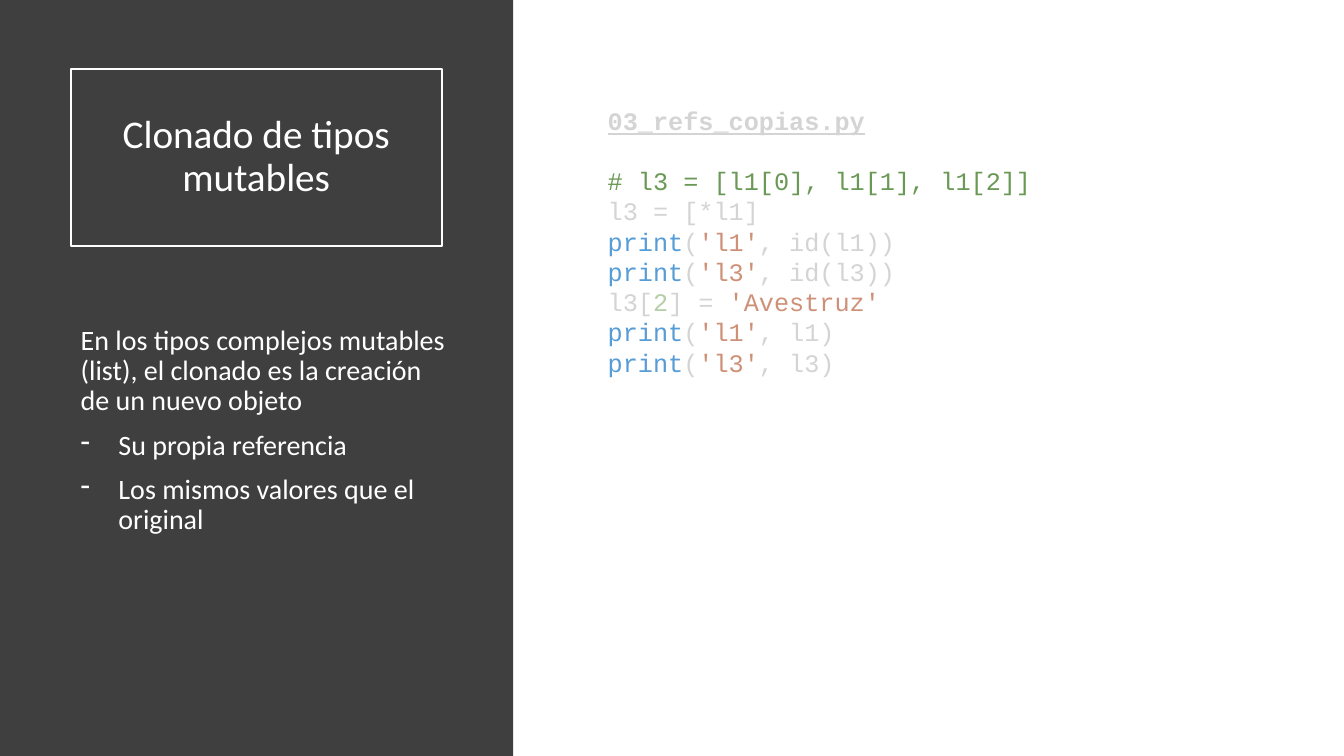
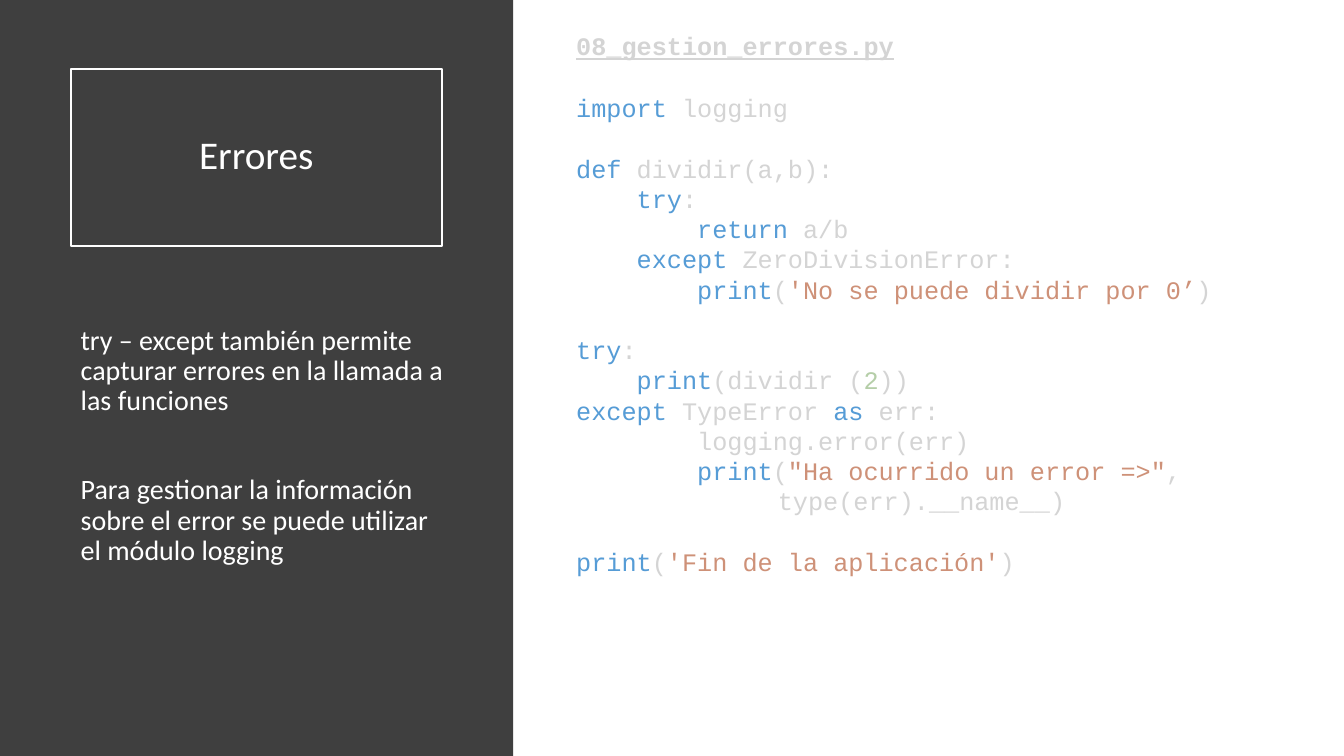
from dataclasses import dataclass
from functools import partial
from typing import NamedTuple

from lxml.etree import SubElement
from pptx import Presentation
from pptx.dml.color import RGBColor
from pptx.enum.shapes import MSO_SHAPE
from pptx.enum.text import MSO_ANCHOR, MSO_AUTO_SIZE, PP_ALIGN
from pptx.oxml.ns import qn
from pptx.util import Pt

WHITE = "FFFFFF"
PANEL = "3F3F3F"
PLAIN = "D4D4D4"
BLUE = "569CD6"
ORANGE = "CE9178"
GREEN = "6A9955"
LIME = "B5CEA8"

TITLE = {"name": "Calibri", "size": Pt(28)}
BODY = {"name": "Calibri", "size": Pt(20)}
CODE = {"name": "Courier New", "size": Pt(18)}
HEAD = {**CODE, "bold": True, "underline": True}

DENSE = 0.9
HANG = 27
SKIP = 21.6  # height of one line of code


class Box(NamedTuple):
    left: float
    top: float
    width: float
    height: float


class Run(NamedTuple):
    text: str
    color: str = PLAIN


@dataclass
class Line:
    runs: list[Run]
    style: dict
    gap: float = 0
    indent: float = 0
    dash: bool = False
    dense: bool = False


@dataclass
class Page:
    title: str
    body: list[Line]
    code: list[tuple[Box, list[Line]]]


SIDE = Box(0, 0, 366.5, 540)
FRAME = Box(50.5, 49, 265, 126.5)
NOTES = Box(50.5, 229.5, 276, 219.5)

key = partial(Run, color=BLUE)
quote = partial(Run, color=ORANGE)
num = partial(Run, color=LIME)


def code(*runs: Run, gap: float = 0, indent: float = 0) -> Line:
    return Line(list(runs), CODE, gap, indent)


def head(name: str) -> Line:
    return Line([Run(name)], HEAD)


def note(text: str, gap: float = 10, dash: bool = False) -> Line:
    indent = HANG if dash else 0
    return Line([Run(text, WHITE)], BODY, gap, indent, dash, True)


def show(name: str, rest: str) -> Line:
    """Code line that prints a quoted name and a value."""
    return code(key("print"), Run("("), quote(f"'{name}'"), Run(f", {rest})"))


def rgb(color: str) -> RGBColor:
    return RGBColor.from_string(color)


def place(box: Box) -> list[Pt]:
    return [Pt(side) for side in box]


def write(frame, lines: list[Line]) -> None:
    frame.word_wrap = True
    for i, line in enumerate(lines):
        para = frame.paragraphs[0] if i == 0 else frame.add_paragraph()
        if line.gap:
            para.space_before = Pt(line.gap)
        if line.dense:
            para.line_spacing = DENSE
        if line.indent:
            props = para._p.get_or_add_pPr()
            props.set("marL", str(Pt(line.indent)))
            if line.dash:
                props.set("indent", str(-Pt(line.indent)))
                SubElement(props, qn("a:buChar")).set("char", "-")
        for part in line.runs:
            run = para.add_run()
            run.text = part.text
            for name, value in line.style.items():
                setattr(run.font, name, value)
            run.font.color.rgb = rgb(part.color)


def add_rect(slide, box: Box):
    shape = slide.shapes.add_shape(MSO_SHAPE.RECTANGLE, *place(box))
    shape.shadow.inherit = False
    return shape


def add_side(slide) -> None:
    side = add_rect(slide, SIDE)
    side.fill.solid()
    side.fill.fore_color.rgb = rgb(PANEL)
    side.line.fill.background()


def add_title(slide, text: str) -> None:
    shape = add_rect(slide, FRAME)
    shape.fill.background()
    shape.line.color.rgb = rgb(WHITE)
    shape.line.width = Pt(1.5)
    frame = shape.text_frame
    frame.vertical_anchor = MSO_ANCHOR.MIDDLE
    write(frame, [Line([Run(text, WHITE)], TITLE, dense=True)])
    frame.paragraphs[0].alignment = PP_ALIGN.CENTER


def add_text(slide, box: Box, lines: list[Line], grow: bool = False) -> None:
    frame = slide.shapes.add_textbox(*place(box)).text_frame
    if grow:
        frame.auto_size = MSO_AUTO_SIZE.SHAPE_TO_FIT_TEXT
    write(frame, lines)


def add_page(deck, page: Page) -> None:
    slide = deck.slides.add_slide(deck.slide_layouts[6])
    add_side(slide)
    add_title(slide, page.title)
    add_text(slide, NOTES, page.body)
    for box, lines in page.code:
        add_text(slide, box, lines, grow=True)


CLONE = Page(
    "Clonado de tipos mutables",
    [
        note("En los tipos complejos mutables (list), el clonado es la "
             "creación de un nuevo objeto", gap=0),
        note("Su propia referencia", dash=True),
        note("Los mismos valores que el original", dash=True),
    ],
    [(Box(427, 71.5, 366.5, 225.5), [
        head("03_refs_copias.py"),
        code(Run("# l3 = [l1[0], l1[1], l1[2]]", GREEN), gap=SKIP),
        code(Run("l3 = [*l1]")),
        show("l1", "id(l1)"),
        show("l3", "id(l3)"),
        code(Run("l3["), num("2"), Run("] = "), quote("'Avestruz'")),
        show("l1", "l1"),
        show("l3", "l3"),
    ])],
)

ERRORS = Page(
    "Errores",
    [
        note("try – except también permite capturar errores en la llamada "
             "a las funciones", gap=0),
        note("Para gestionar la información sobre el error se puede "
             "utilizar el módulo logging", gap=42),
    ],
    [
        (Box(404.5, 18, 511, 51), [head("08_gestion_errores.py")]),
        (Box(404.5, 62.5, 486.5, 356.5), [
            code(key("import "), Run("logging")),
            code(key("def"), Run(" dividir(a,b):"), gap=SKIP),
            code(key("    try"), Run(":")),
            code(key("        return"), Run(" a/b")),
            code(key("    except "), Run("ZeroDivisionError:")),
            code(key("        print"), Run("("),
                 quote("'No se puede dividir por 0’"), Run(")")),
            code(key("try"), Run(":"), gap=SKIP),
            code(key("    print"), Run("(dividir ("), num("2"), Run("))")),
            code(key("except "), Run("TypeError "), key("as "), Run("err:")),
            code(Run("        logging.error(err)")),
            code(key("        print"), Run("("),
                 quote('"Ha ocurrido un error =>"'), Run(",")),
            code(Run("type(err).__name__)"), indent=144),
            code(key("print"), Run("("), quote("'Fin de la aplicación'"),
                 Run(")"), gap=SKIP),
        ]),
    ],
)


def main() -> None:
    deck = Presentation()
    deck.slide_width, deck.slide_height = Pt(960), Pt(540)
    for page in (CLONE, ERRORS):
        add_page(deck, page)
    deck.save("out.pptx")


if __name__ == "__main__":
    main()
